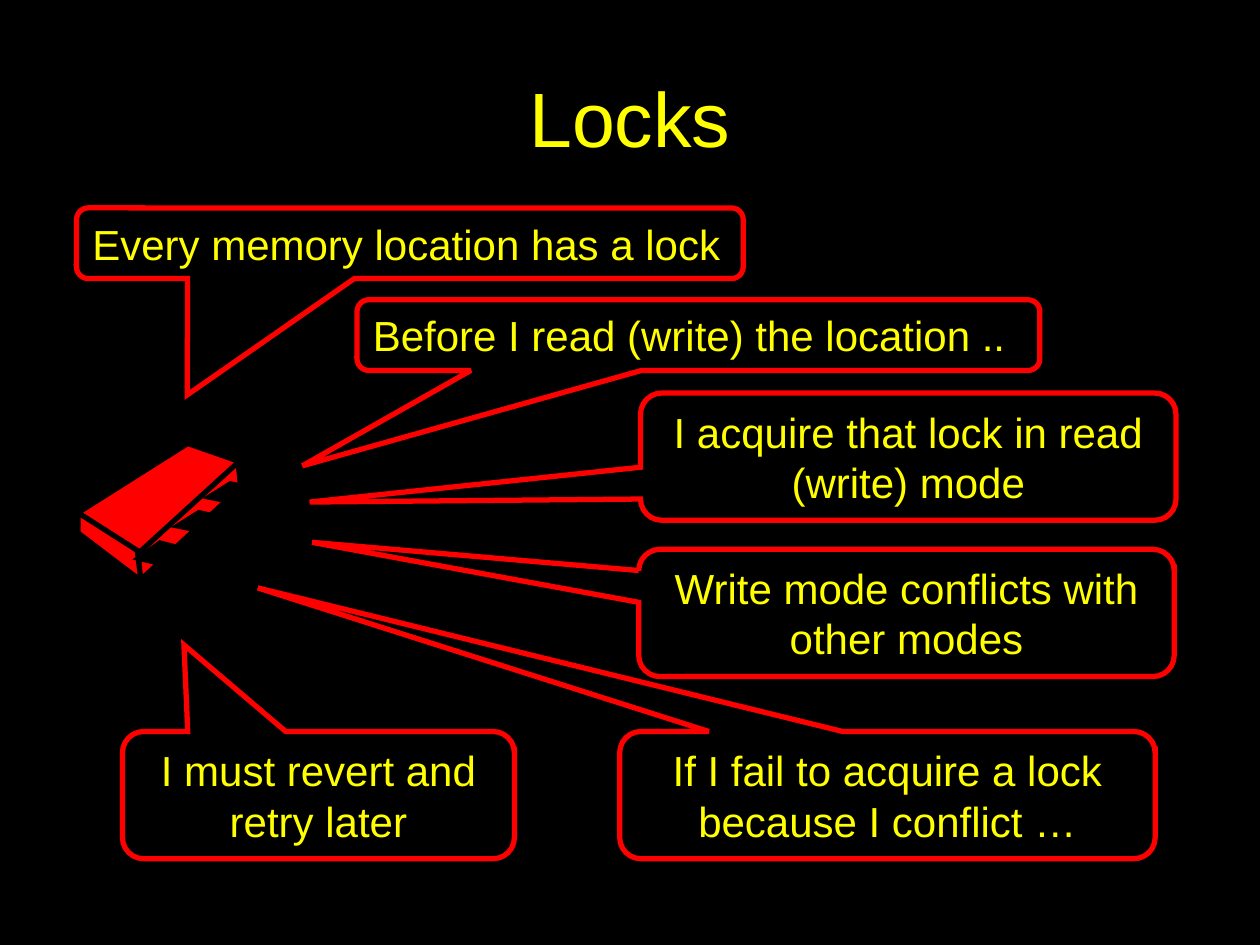
from lxml import etree
from pptx import Presentation
from pptx.dml import color
from pptx.enum import shapes, text
from pptx.oxml import ns
from pptx.util import Pt

BLACK, RED, YELLOW = "000000", "FF0000", "FFFF00"


def rgb(value):
    return color.RGBColor.from_string(value)


class SlideBuilder:
    """Hold the shared style and the current slide."""

    font_name = "Arial"
    line_width = 3

    def __init__(self, slide):
        self.slide = slide
        slide.background.fill.solid()
        slide.background.fill.fore_color.rgb = rgb(BLACK)

    def add_wording(self, shape, wording, size, align, wrap=True):
        frame = shape.text_frame
        frame.word_wrap = wrap
        frame.vertical_anchor = text.MSO_ANCHOR.MIDDLE
        paragraph = frame.paragraphs[0]
        paragraph.alignment = align
        run = paragraph.add_run()
        run.text = wording
        run.font.name = self.font_name
        run.font.size = Pt(size)
        run.font.color.rgb = rgb(YELLOW)

    def paint(self, shape, fill, line):
        shape.shadow.inherit = False
        shape.fill.solid()
        shape.fill.fore_color.rgb = rgb(fill)
        shape.line.color.rgb = rgb(line)
        shape.line.width = Pt(self.line_width)
        outline = shape.element.spPr.find(ns.qn("a:ln"))
        etree.SubElement(outline, ns.qn("a:miter"), lim="800000")

    def title(self, wording, left, top, width, height):
        shape = self.slide.shapes.title
        shape.left, shape.top = Pt(left), Pt(top)
        shape.width, shape.height = Pt(width), Pt(height)
        self.add_wording(shape, wording, 44, text.PP_ALIGN.CENTER)

    def callout(self, wording, box, tail, wrap=True):
        shape = self.slide.shapes.add_shape(
            shapes.MSO_SHAPE.ROUNDED_RECTANGULAR_CALLOUT, *map(Pt, box))
        shape.adjustments[0], shape.adjustments[1] = tail
        shape.adjustments[2] = 0.167
        self.paint(shape, BLACK, RED)
        fill = shape.element.spPr.find(ns.qn("a:solidFill"))
        etree.SubElement(fill[0], ns.qn("a:alpha"), val="90000")
        align = text.PP_ALIGN.CENTER if wrap else text.PP_ALIGN.LEFT
        self.add_wording(shape, wording, 24, align, wrap)
        shape.text_frame.auto_size = text.MSO_AUTO_SIZE.SHAPE_TO_FIT_TEXT

    def polygon(self, group, points, fill, left=0, top=0, stretch=1):
        placed = [(Pt(left + x), Pt(top + y * stretch)) for x, y in points]
        builder = group.shapes.build_freeform(*placed[0])
        builder.add_line_segments(placed[1:], close=True)
        self.paint(builder.convert_to_shape(), fill, BLACK)

    def chip(self):
        group = self.slide.shapes.add_group_shape()
        back_pin = [(17.3, 5.4), (5.8, 0), (0, 5.4), (0, 39.8),
                    (5.8, 33.8), (5.8, 10.9), (17.3, 16.9)]
        front_pin = [(12.2, 0), (0, 7.6), (20.6, 11.8), (20.6, 34.4),
                     (28.6, 26.6), (28.6, 3.6)]
        faces = [
            [(107.3, 253.4), (44.6, 293), (79.9, 316.8), (138.2, 264.2)],
            [(136.1, 264.2), (79.2, 316.1), (79.9, 331.9), (137.5, 278.6)],
            [(44.6, 293), (44.6, 304.6), (80.6, 331.9), (78.5, 314.6)],
        ]
        for left, top in [(79.9, 252), (38.9, 281.5), (63.4, 264.2)]:
            self.polygon(group, back_pin, BLACK, left, top)
        for face in faces:
            self.polygon(group, face, RED)
        for left, top, stretch in [(79.2, 310.3, 1.15), (101.5, 293, 1),
                                   (119.5, 276.5, 1)]:
            self.polygon(group, front_pin, BLACK, left, top, stretch)


def main():
    presentation = Presentation()
    presentation.slide_width, presentation.slide_height = Pt(720), Pt(540)
    slide = presentation.slides.add_slide(presentation.slide_layouts[5])
    builder = SlideBuilder(slide)
    builder.title("Locks", 36, 21.6, 648, 90)
    callouts = [
        ("Every memory location has a lock",
         (43.7, 118.8, 381, 40.4), (-0.334, 2.147), False),
        ("Before I read (write) the location ..",
         (204, 171.3, 390.2, 40.4), (-0.58, 1.849), False),
        ("I acquire that lock in read (write) mode",
         (366, 224.6, 306, 72.7), (-1.118, 0.357)),
        ("Write mode conflicts with other modes",
         (365, 313.9, 306, 72.7), (-1.11, -0.555)),
        ("If I fail to acquire a lock because I conflict …",
         (354.1, 418, 306, 72.7), (-1.176, -1.629)),
        ("I must revert and retry later",
         (70, 418, 224, 72.7), (-0.343, -1.181)),
    ]
    for callout in callouts:
        builder.callout(*callout)
    builder.chip()
    presentation.save("out.pptx")


if __name__ == "__main__":
    main()
